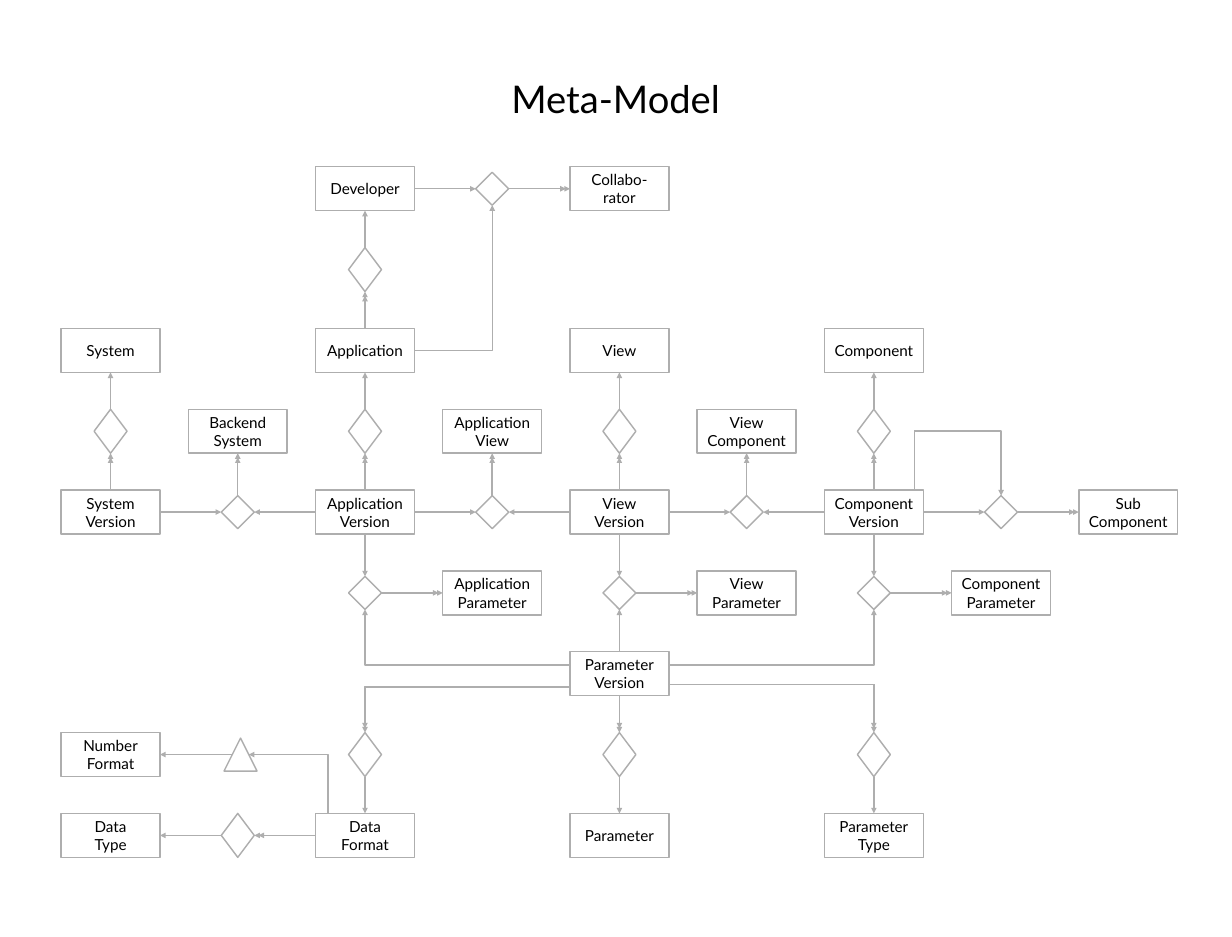
import pptx
import pptx.dml.color
import pptx.enum.shapes
import pptx.enum.text
import pptx.oxml
import pptx.oxml.ns
import pptx.util

Inches = pptx.util.Inches
SHAPES = pptx.enum.shapes.MSO_SHAPE
CONNECTORS = pptx.enum.shapes.MSO_CONNECTOR

COLORS = {"line": "AEAEAE", "text": "000000"}
FONT = "Lato"
FIRST_COLUMN, FIRST_ROW = 1.61, 2.75
COLUMN_PITCH, ROW_PITCH = 14.82 / 8, 9.42 / 8
ENTITY_SIZE = (1.44, 0.64)
TALL_SIZE = (0.48, 0.64)
SQUARE_SIZE = (0.48, 0.48)
SECOND_HEAD_GAP = 0.06
SITES = {"top": 0, "left": 1, "bottom": 2, "right": 3}

ENTITIES = {
    (2, 0): "Developer", (4, 0): "Collabo-rator",
    (0, 2): "System", (2, 2): "Application", (4, 2): "View", (6, 2): "Component",
    (1, 3): "Backend\nSystem", (3, 3): "Application\nView", (5, 3): "View\nComponent",
    (0, 4): "System\nVersion", (2, 4): "Application\nVersion", (4, 4): "View\nVersion",
    (6, 4): "Component\nVersion", (8, 4): "Sub\nComponent",
    (3, 5): "Application\nParameter", (5, 5): "View\nParameter", (7, 5): "Component\nParameter",
    (4, 6): "Parameter\nVersion", (0, 7): "Number\nFormat",
    (0, 8): "Data\nType", (2, 8): "Data\nFormat", (4, 8): "Parameter", (6, 8): "Parameter\nType",
}
TALL_RELATIONS = [(2, 1), (0, 3), (2, 3), (4, 3), (6, 3), (2, 7), (4, 7), (6, 7), (1, 8)]
SQUARE_RELATIONS = [(3, 0), (1, 4), (3, 4), (5, 4), (7, 4), (2, 5), (4, 5), (6, 5)]


def color(name):
    return pptx.dml.color.RGBColor.from_string(COLORS[name])


def add_text(paragraph, text, size):
    paragraph.alignment = pptx.enum.text.PP_ALIGN.CENTER
    run = paragraph.add_run()
    run.text = text
    run.font.name = FONT
    run.font.size = pptx.util.Pt(size)
    run.font.color.rgb = color("text")


def style_line(line):
    line.color.rgb = color("line")
    line.width = pptx.util.Pt(1.5)


def add_title(slide, text):
    title = slide.shapes.title
    title.left, title.top = Inches(1.23), Inches(1.12)
    title.width, title.height = Inches(15.47), Inches(0.72)
    title.text_frame.vertical_anchor = pptx.enum.text.MSO_ANCHOR.MIDDLE
    paragraph = title.text_frame.paragraphs[0]
    paragraph.line_spacing = 0.9
    add_text(paragraph, text, 40)


def add_node(slide, kind, cell, size, label=None):
    column, row = cell
    width, height = size
    left = FIRST_COLUMN + column * COLUMN_PITCH - width / 2
    top = FIRST_ROW + row * ROW_PITCH - height / 2
    shape = slide.shapes.add_shape(kind, Inches(left), Inches(top), Inches(width), Inches(height))
    shape.shadow.inherit = False
    shape.fill.background()
    style_line(shape.line)
    if label:
        frame = shape.text_frame
        frame.word_wrap = True
        frame.vertical_anchor = pptx.enum.text.MSO_ANCHOR.MIDDLE
        for index, text in enumerate(label.split("\n")):
            paragraph = frame.add_paragraph() if index else frame.paragraphs[0]
            add_text(paragraph, text, 16)
    return shape


def add_nodes(slide):
    nodes = {cell: add_node(slide, SHAPES.RECTANGLE, cell, ENTITY_SIZE, label)
             for cell, label in ENTITIES.items()}
    for cells, size in ((TALL_RELATIONS, TALL_SIZE), (SQUARE_RELATIONS, SQUARE_SIZE)):
        for cell in cells:
            nodes[cell] = add_node(slide, SHAPES.DIAMOND, cell, size)
    return nodes


def side_point(shape, side):
    x = {"left": 0, "right": shape.width}.get(side, shape.width // 2)
    y = {"top": 0, "bottom": shape.height}.get(side, shape.height // 2)
    return shape.left + x, shape.top + y


def add_line(slide, start, end, arrow="tailEnd", bent=False):
    kind = CONNECTORS.ELBOW if bent else CONNECTORS.STRAIGHT
    connector = slide.shapes.add_connector(kind, *start, *end)
    style_line(connector.line)
    properties = connector._element.spPr
    if bent:
        properties.find(pptx.oxml.ns.qn("a:prstGeom")).set("prst", "bentConnector2")
    if arrow:
        head = pptx.oxml.parse_xml(f'<a:{arrow} {pptx.oxml.ns.nsdecls("a")} type="triangle"/>')
        connector.line._get_or_add_ln().append(head)
    properties.append(pptx.oxml.parse_xml(f'<a:effectLst {pptx.oxml.ns.nsdecls("a")}/>'))
    return connector


def facing_sides(start, end):
    if start[0] == end[0]:
        return ("bottom", "top") if start[1] < end[1] else ("top", "bottom")
    return ("right", "left") if start[0] < end[0] else ("left", "right")


def before(point, side):
    gap = Inches(SECOND_HEAD_GAP)
    x, y = {"top": (0, -gap), "bottom": (0, gap), "left": (-gap, 0), "right": (gap, 0)}[side]
    return point[0] + x, point[1] + y


def link(slide, nodes, start, end, many=False):
    start_side, end_side = facing_sides(start, end)
    start_point = side_point(nodes[start], start_side)
    end_point = side_point(nodes[end], end_side)
    connector = add_line(slide, start_point, end_point)
    connector.begin_connect(nodes[start], SITES[start_side])
    connector.end_connect(nodes[end], SITES[end_side])
    if many:
        add_line(slide, start_point, before(end_point, end_side))


def link_bent(slide, nodes, start, start_side, offset, end, end_side, many=False):
    x, y = side_point(nodes[start], start_side)
    start_point = (x, y + Inches(offset))
    end_point = side_point(nodes[end], end_side)
    add_line(slide, start_point, end_point, bent=True)
    if many:
        add_line(slide, start_point, before(end_point, end_side), bent=True)


def add_straight_links(slide, nodes):
    for column in (0, 2, 4, 6):
        link(slide, nodes, (column, 4), (column, 3), many=True)
        link(slide, nodes, (column, 3), (column, 2))
    for column in (1, 3, 5):
        link(slide, nodes, (column - 1, 4), (column, 4))
        link(slide, nodes, (column + 1, 4), (column, 4))
        link(slide, nodes, (column, 4), (column, 3), many=True)
    for column in (2, 4, 6):
        link(slide, nodes, (column, 4), (column, 5))
        link(slide, nodes, (column, 5), (column + 1, 5), many=True)
        link(slide, nodes, (column, 7), (column, 8))
    for start, end in [((2, 1), (2, 0)), ((2, 0), (3, 0)), ((4, 6), (4, 5)),
                       ((6, 4), (7, 4)), ((1, 8), (0, 8))]:
        link(slide, nodes, start, end)
    for start, end in [((2, 2), (2, 1)), ((3, 0), (4, 0)), ((4, 6), (4, 7)),
                       ((7, 4), (8, 4)), ((2, 8), (1, 8))]:
        link(slide, nodes, start, end, many=True)


def add_bent_links(slide, nodes):
    link_bent(slide, nodes, (2, 2), "right", 0, (3, 0), "bottom")
    for side, column, lower_offset in (("left", 2, 0.19), ("right", 6, 0.16)):
        link_bent(slide, nodes, (4, 6), side, -0.13, (column, 5), "bottom")
        link_bent(slide, nodes, (4, 6), side, lower_offset, (column, 7), "top", many=True)


def add_component_loop(slide, nodes):
    component = nodes[6, 4]
    x = component.left + Inches(1.31)
    corner = (x, Inches(6.28))
    add_line(slide, (x, component.top), corner, arrow=None)
    add_line(slide, corner, side_point(nodes[7, 4], "top"), bent=True)


def add_format_specialization(slide, nodes):
    triangle = add_node(slide, SHAPES.ISOSCELES_TRIANGLE, (1, 7), SQUARE_SIZE)
    triangle.left += Inches(0.04)
    middle = triangle.top + triangle.height // 2
    quarter = triangle.width // 4
    data_format = nodes[2, 8]
    add_line(slide, (triangle.left + 3 * quarter, middle),
             (data_format.left + Inches(0.18), data_format.top), arrow="headEnd", bent=True)
    add_line(slide, (triangle.left + quarter, middle), side_point(nodes[0, 7], "right"))


def main():
    presentation = pptx.Presentation()
    presentation.slide_width = Inches(17.94)
    presentation.slide_height = Inches(13.65)
    slide = presentation.slides.add_slide(presentation.slide_layouts[5])
    add_title(slide, "Meta-Model")
    nodes = add_nodes(slide)
    add_straight_links(slide, nodes)
    add_bent_links(slide, nodes)
    add_component_loop(slide, nodes)
    add_format_specialization(slide, nodes)
    presentation.save("out.pptx")


main()
